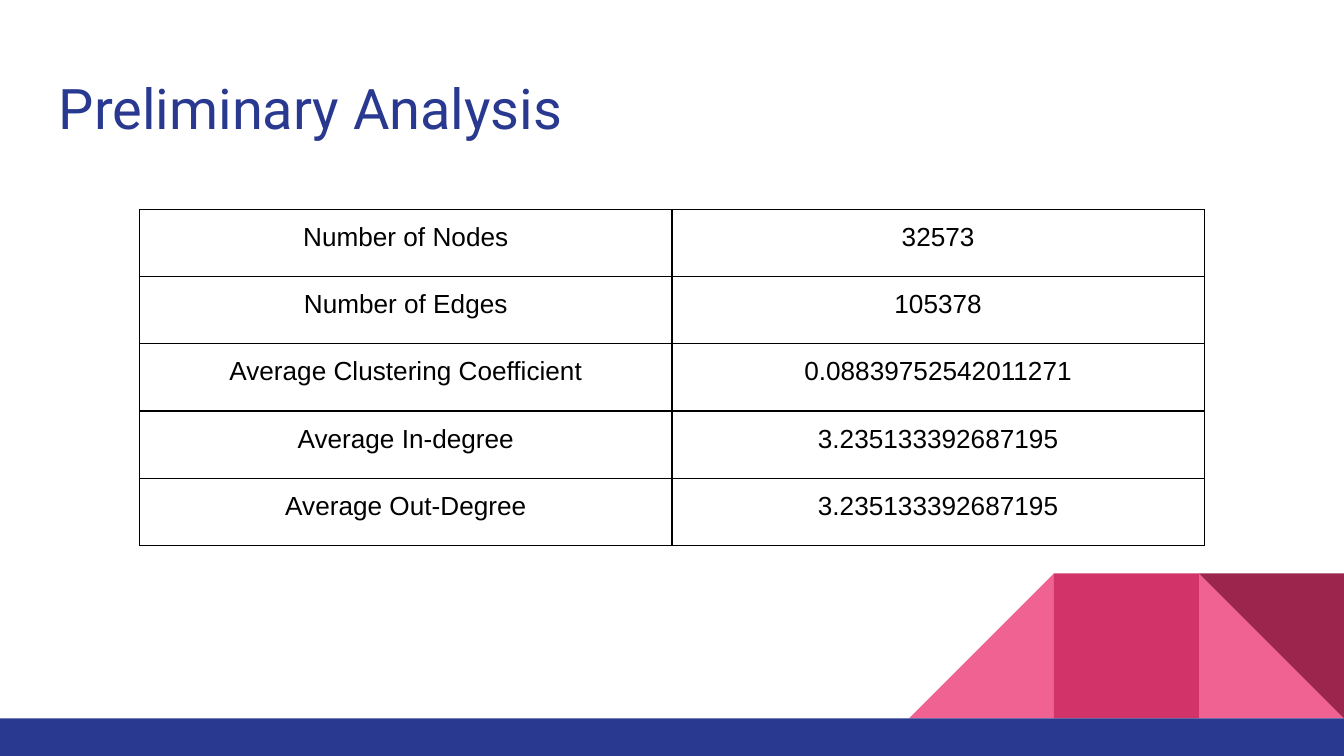
"""Build the Preliminary Analysis slide with its table of network statistics."""
import pptx
import pptx.dml.color
import pptx.enum.shapes
import pptx.enum.text
import pptx.oxml
import pptx.oxml.ns
import pptx.util
from lxml import etree

Cm, Pt = pptx.util.Cm, pptx.util.Pt
MSO = pptx.enum.shapes.MSO_SHAPE

TITLE = "Preliminary Analysis"
STATS = [
    ("Number of Nodes", "32573"),
    ("Number of Edges", "105378"),
    ("Average Clustering Coefficient", "0.08839752542011271"),
    ("Average In-degree", "3.235133392687195"),
    ("Average Out-Degree", "3.235133392687195"),
]
WIDTH, HEIGHT = 25.4, 14.29
BAR_TOP, TILE = 13.58, 2.74
COL_W, ROW_H, INSET = 10.06, 1.27, 0.25
BLUE, BLACK = "2A3990", "000000"
TILES = [
    (1, MSO.RIGHT_TRIANGLE, "F06292", False, 0),
    (3, MSO.RIGHT_TRIANGLE, "F06292", True, 0),
    (2, MSO.RECTANGLE, "D23369", False, 0),
    (1, MSO.RIGHT_TRIANGLE, "9C254D", False, 180),
]


def rgb(color):
    return pptx.dml.color.RGBColor.from_string(color)


def add_block(s, kind, x, y, w, h, color):
    sp = s.shapes.add_shape(kind, Cm(x), Cm(y), Cm(w), Cm(h))
    sp.shadow.inherit = False
    sp.fill.solid()
    sp.fill.fore_color.rgb = rgb(color)
    sp.line.fill.background()
    return sp


def add_text(p, text, font, size, color):
    r = p.add_run()
    r.text = text
    r.font.name = font
    r.font.size = Pt(size)
    r.font.color.rgb = rgb(color)


def set_borders(cell, color, width):
    tc_pr = cell._tc.get_or_add_tcPr()
    for i, side in enumerate(("lnL", "lnR", "lnT", "lnB")):
        ln = etree.Element(pptx.oxml.ns.qn("a:" + side), w=str(Pt(width)))
        fill = etree.SubElement(ln, pptx.oxml.ns.qn("a:solidFill"))
        etree.SubElement(fill, pptx.oxml.ns.qn("a:srgbClr"), val=color)
        tc_pr.insert(i, ln)


def add_decoration(s):
    for steps, kind, color, flip, angle in TILES:
        sp = add_block(s, kind, WIDTH - steps * TILE, BAR_TOP - TILE, TILE, TILE, color)
        sp.rotation = angle
        if flip:
            sp._element.spPr.xfrm.set("flipH", "1")
    add_block(s, MSO.RECTANGLE, 0, BAR_TOP, WIDTH, HEIGHT - BAR_TOP, BLUE)


def add_title(s):
    sp = s.shapes.title
    sp.left, sp.top, sp.width, sp.height = Cm(0.86), Cm(1.14), Cm(23.67), Cm(1.68)
    tf = sp.text_frame
    tf.word_wrap = True
    tf.auto_size = pptx.enum.text.MSO_AUTO_SIZE.NONE
    tf.vertical_anchor = pptx.enum.text.MSO_ANCHOR.TOP
    tf.margin_left = tf.margin_right = tf.margin_top = tf.margin_bottom = Cm(INSET)
    p = tf.paragraphs[0]
    p.alignment = pptx.enum.text.PP_ALIGN.LEFT
    add_text(p, TITLE, "Roboto", 30, BLUE)


def add_stats(s):
    rows, cols = len(STATS), len(STATS[0])
    left = (WIDTH - cols * COL_W) / 2
    table = s.shapes.add_table(rows, cols, Cm(left), Cm(3.96),
                               Cm(cols * COL_W), Cm(rows * ROW_H)).table
    table.first_row = table.horz_banding = False
    for row, values in zip(table.rows, STATS):
        row.height = Cm(ROW_H)
        for cell, value in zip(row.cells, values):
            cell.fill.background()
            cell.margin_left = cell.margin_right = Cm(INSET)
            cell.margin_top = cell.margin_bottom = Cm(INSET)
            set_borders(cell, BLACK, 0.75)
            p = cell.text_frame.paragraphs[0]
            p.alignment = pptx.enum.text.PP_ALIGN.CENTER
            add_text(p, value, "Arial", 14, BLACK)


def main():
    prs = pptx.Presentation()
    prs.slide_width, prs.slide_height = Cm(WIDTH), Cm(HEIGHT)
    s = prs.slides.add_slide(prs.slide_layouts[5])
    add_decoration(s)
    add_title(s)
    add_stats(s)
    prs.save("out.pptx")


if __name__ == "__main__":
    main()
